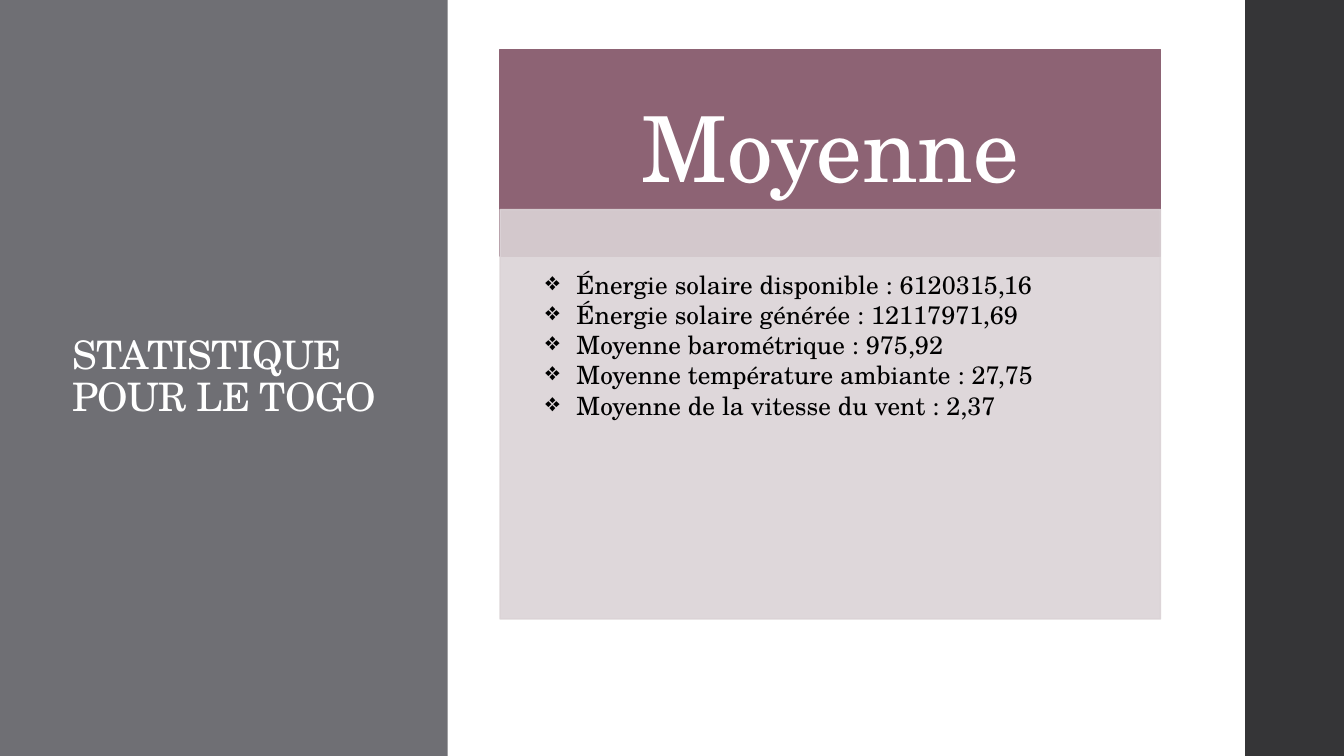
import dataclasses

import lxml.etree
import pptx
import pptx.dml.color
import pptx.enum.shapes
import pptx.enum.text
import pptx.oxml.ns
import pptx.util

Inches = pptx.util.Inches
Pt = pptx.util.Pt
Align = pptx.enum.text.PP_ALIGN
Anchor = pptx.enum.text.MSO_ANCHOR
qn = pptx.oxml.ns.qn


@dataclasses.dataclass(frozen=True)
class Theme:
    """Colours, font and type sizes of the slide."""
    font: str = "TeX Gyre Schola"
    side: str = "6F6F74"
    edge: str = "353537"
    header: str = "8D6374"
    body: str = "DBD3D6"
    light: str = "FFFFFF"
    dark: str = "000000"
    title_size: int = 28
    header_size: int = 65
    list_size: int = 18


THEME = Theme()
STATISTICS = (
    "Énergie solaire disponible : 6120315,16",
    "Énergie solaire générée : 12117971,69",
    "Moyenne barométrique : 975,92",
    "Moyenne température ambiante : 27,75",
    "Moyenne de la vitesse du vent : 2,37",
)


def colour(value):
    """Return an RGB colour for a hexadecimal value."""
    return pptx.dml.color.RGBColor.from_string(value)


def apply_format(target, values):
    """Set every attribute in values on the target."""
    for name, value in values.items():
        setattr(target, name, value)


def add_panel(page, box, fill, outlined=False, opacity=None):
    """Draw a flat rectangle in the box, optionally outlined and translucent."""
    panel = page.shapes.add_shape(
        pptx.enum.shapes.MSO_SHAPE.RECTANGLE, *map(Inches, box))
    panel.shadow.inherit = False
    panel.fill.solid()
    panel.fill.fore_color.rgb = colour(fill)
    if outlined:
        panel.line.color.rgb = colour(fill)
        panel.line.width = Pt(1.1)
    else:
        panel.line.fill.background()
    if opacity is not None:
        for tone in panel.element.spPr.iter(qn("a:srgbClr")):
            lxml.etree.SubElement(tone, qn("a:alpha"), val=str(opacity * 1000))
    return panel


def write(para, text, size, tone, **values):
    """Write one formatted run and apply the paragraph values."""
    span = para.add_run()
    span.text = text
    apply_format(span.font, {"name": THEME.font, "size": Pt(size)})
    span.font.color.rgb = colour(tone)
    apply_format(para, values)
    return span


def add_title_side(page, box):
    """Fill the left band and set the slide title on it."""
    left, top, width, height = box
    add_panel(page, box, THEME.side)
    title = page.shapes.title
    title.element.getparent().append(title.element)
    apply_format(title, {
        "left": Inches(left + 0.62), "top": Inches(top + 0.91),
        "width": Inches(width - 0.95), "height": Inches(height - 1.83)})
    frame = title.text_frame
    apply_format(frame, {
        "word_wrap": True, "vertical_anchor": Anchor.MIDDLE,
        "auto_size": pptx.enum.text.MSO_AUTO_SIZE.NONE})
    span = write(frame.paragraphs[0], "STATISTIQUE POUR LE TOGO",
                 THEME.title_size, THEME.light,
                 alignment=Align.LEFT, line_spacing=0.9)
    span.font._element.set("spc", "-50")


def add_bullets(page, box, lines):
    """Write the lines as a bulleted list in the box."""
    frame = page.shapes.add_textbox(*map(Inches, box)).text_frame
    frame.word_wrap = True
    for index, line in enumerate(lines):
        para = frame.add_paragraph() if index else frame.paragraphs[0]
        write(para, line, THEME.list_size, THEME.dark)
        properties = para._p.get_or_add_pPr()
        properties.set("marL", str(Inches(0.31)))
        properties.set("indent", str(Inches(-0.31)))
        lxml.etree.SubElement(properties, qn("a:buChar"), char="❖")


def add_average_card(page, box):
    """Draw the header, the overlapping body and the list of averages."""
    left, top, width, height = box
    header = add_panel(page, (left, top, width, 2.05), THEME.header, True)
    frame = header.text_frame
    apply_format(frame, {
        "margin_left": Inches(0.51), "margin_right": Inches(0.51),
        "margin_top": Inches(0.29), "margin_bottom": Inches(0.29),
        "word_wrap": True, "vertical_anchor": Anchor.MIDDLE})
    write(frame.paragraphs[0], "Moyenne", THEME.header_size, THEME.light,
          alignment=Align.CENTER, line_spacing=0.9)
    add_panel(page, (left, top + 1.59, width, height - 1.59),
              THEME.body, True, 90)
    add_bullets(page, (left + 0.35, top + 2.13, width - 0.75, 1.62), STATISTICS)


def main():
    """Build and save the deck."""
    deck = pptx.Presentation()
    apply_format(deck, {"slide_width": Inches(13.33),
                        "slide_height": Inches(7.5)})
    page = deck.slides.add_slide(deck.slide_layouts.get_by_name("Title Only"))
    add_title_side(page, (0, 0, 4.44, 7.5))
    add_panel(page, (12.35, 0, 0.98, 7.5), THEME.edge)
    add_average_card(page, (4.96, 0.49, 6.55, 5.65))
    deck.save("out.pptx")


if __name__ == "__main__":
    main()
